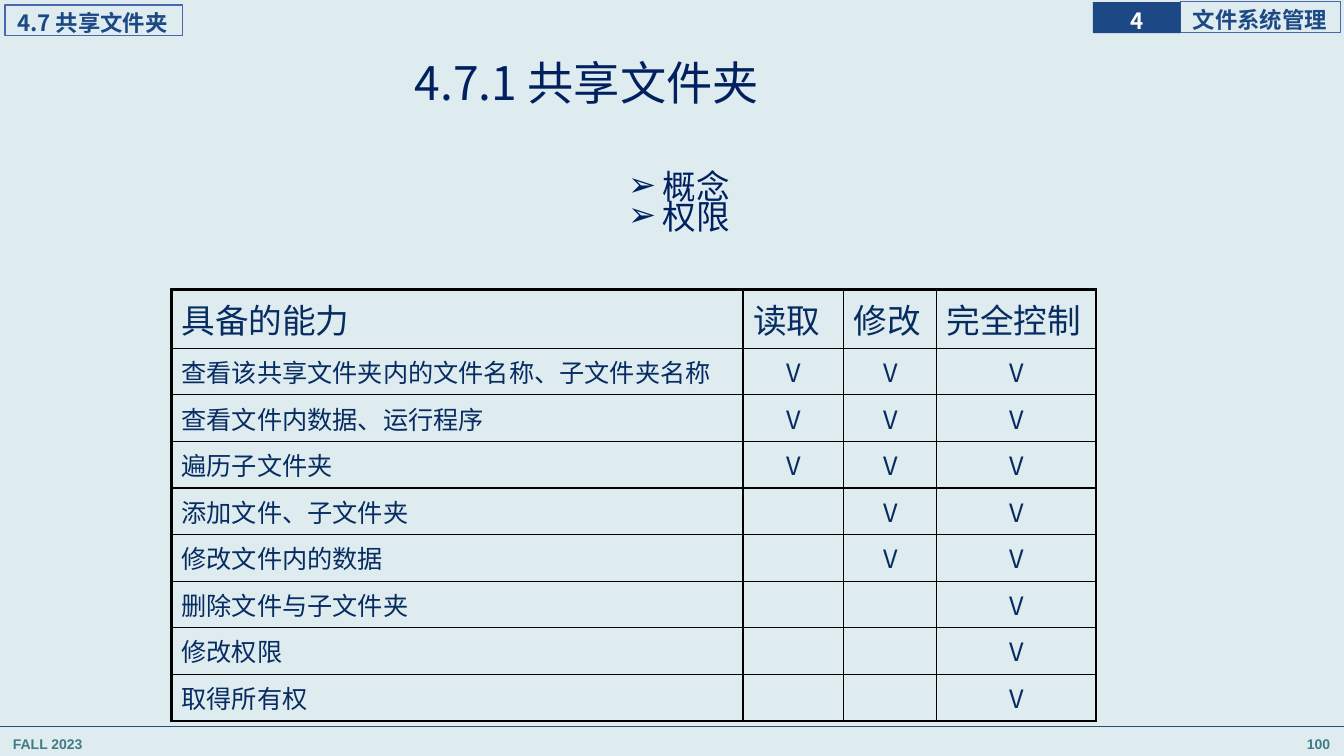
import pptx
import pptx.dml.color
import pptx.enum.shapes
import pptx.enum.text
import pptx.oxml
import pptx.oxml.ns
import pptx.util
from pptx.util import Inches, Pt

ALIGN = pptx.enum.text.PP_ALIGN
MIDDLE = pptx.enum.text.MSO_ANCHOR.MIDDLE
TOP = pptx.enum.text.MSO_ANCHOR.TOP
RECTANGLE = pptx.enum.shapes.MSO_SHAPE.RECTANGLE
CJK = "Noto Sans CJK SC"
NAVY, BLUE, BLACK = "002060", "1C4885", "000000"
THIN, THICK = 1, 2.25

ABILITIES = [
    ("查看该共享文件夹内的文件名称、子文件夹名称", "V", "V", "V"),
    ("查看文件内数据、运行程序", "V", "V", "V"),
    ("遍历子文件夹", "V", "V", "V"),
    ("添加文件、子文件夹", "", "V", "V"),
    ("修改文件内的数据", "", "V", "V"),
    ("删除文件与子文件夹", "", "", "V"),
    ("修改权限", "", "", "V"),
    ("取得所有权", "", "", "V"),
]
PERMISSIONS = [("具备的能力", "读取", "修改", "完全控制")] + ABILITIES


def rgb(value):
    return pptx.dml.color.RGBColor.from_string(value)


def xml(tag, **attributes):
    element = pptx.oxml.parse_xml(f"<{tag} {pptx.oxml.ns.nsdecls('a')}/>")
    for name, value in attributes.items():
        element.set(name, str(value))
    return element


def apply(target, **formats):
    for name, value in formats.items():
        setattr(target, name, value)


def place(shape, box):
    apply(shape, **dict(zip(("left", "top", "width", "height"), map(Inches, box))))


def write(paragraph, text, size, color, font=CJK, bold=False, **formats):
    run = paragraph.add_run()
    run.text = text
    apply(run.font, name=font, size=Pt(size), bold=bold)
    run.font.color.rgb = rgb(color)
    run.font._element.append(xml("a:ea", typeface=font))
    apply(paragraph, **formats)


def set_frame(frame, insets, anchor=MIDDLE):
    """Insets are left, top, right and bottom, in inches."""
    sides = ("margin_left", "margin_top", "margin_right", "margin_bottom")
    apply(frame, word_wrap=True, vertical_anchor=anchor,
          auto_size=pptx.enum.text.MSO_AUTO_SIZE.NONE,
          **dict(zip(sides, map(Inches, insets))))


def add_tag(slide, box, text, color=BLUE, fill=None, inset=0.12, align=ALIGN.LEFT):
    tag = slide.shapes.add_shape(RECTANGLE, *map(Inches, box))
    tag.shadow.inherit = False
    if fill:
        tag.fill.solid()
        tag.fill.fore_color.rgb = rgb(fill)
        tag.line.fill.background()
    else:
        tag.fill.background()
        tag.line.color.rgb = rgb("4A66AC")
        tag.line.width = Pt(0.75)
    set_frame(tag.text_frame, (inset, 0, 0, 0))
    write(tag.text_frame.paragraphs[0], text, 16, color, bold=True,
          alignment=align, line_spacing=1.2)


def add_chapter_header(slide, box):
    left, top, width, height = box
    number_width = 0.87
    add_tag(slide, (left + number_width, top, width - number_width, height), "文件系统管理")
    add_tag(slide, (left, top, number_width, height + 0.01), "4",
            color="FFFFFF", fill=BLUE, inset=0, align=ALIGN.CENTER)


def add_footer(slide, box):
    left, top, width, height = box
    rule = slide.shapes.add_connector(
        pptx.enum.shapes.MSO_CONNECTOR.STRAIGHT,
        *map(Inches, (left, top, left + width, top)))
    rule.line.color.rgb = rgb("234F77")
    rule.line.width = Pt(0.5)
    rule._element.spPr.append(xml("a:effectLst"))
    label_width = 2.78
    labels = [("FALL 2023", left + 0.06, ALIGN.LEFT),
              ("100", left + width - 0.04 - label_width, ALIGN.RIGHT)]
    for text, label_left, align in labels:
        label = slide.shapes.add_textbox(
            *map(Inches, (label_left, top, label_width, height)))
        set_frame(label.text_frame, (0.1, 0.05, 0.1, 0.05))
        write(label.text_frame.paragraphs[0], text, 10, "417B85", font="Arial",
              bold=True, alignment=align, line_spacing=1.2)


def fill_title(title, box):
    place(title, box)
    set_frame(title.text_frame, (0.1, 0.05, 0.1, 0.05))
    write(title.text_frame.paragraphs[0], "4.7.1 共享文件夹", 33, NAVY,
          alignment=ALIGN.CENTER, line_spacing=0.9)


def fill_topics(topics, box):
    place(topics, box)
    frame = topics.text_frame
    set_frame(frame, (4.18, 0.07, 0.08, 0.04), TOP)
    indent = Inches(0.34)
    for index, topic in enumerate(("概念", "权限")):
        paragraph = frame.add_paragraph() if index else frame.paragraphs[0]
        write(paragraph, topic, 24, NAVY, line_spacing=0.74, space_before=Pt(0))
        properties = paragraph._p.get_or_add_pPr()
        properties.set("marL", str(indent))
        properties.set("indent", str(-indent))
        properties.append(xml("a:buChar", char="➢"))


def set_borders(cell, widths):
    """Widths are left, right, top and bottom, in points."""
    properties = cell._tc.get_or_add_tcPr()
    for position, (side, width) in enumerate(zip("LRTB", widths)):
        border = xml(f"a:ln{side}", w=Pt(width))
        fill = xml("a:solidFill")
        fill.append(xml("a:srgbClr", val=BLACK))
        border.append(fill)
        properties.insert(position, border)


def add_permission_table(slide, box):
    column_widths = (5.67, 1, 0.92, 1.58)
    last_row, last_column = len(PERMISSIONS) - 1, len(column_widths) - 1
    table = slide.shapes.add_table(
        last_row + 1, last_column + 1, *map(Inches, box)).table
    apply(table, first_row=False, horz_banding=False)
    for column, width in zip(table.columns, column_widths):
        column.width = Inches(width)
    header_height = 0.58
    for index, row in enumerate(table.rows):
        row.height = Inches((box[3] - header_height) / last_row if index else header_height)
    for r, values in enumerate(PERMISSIONS):
        for c, value in enumerate(values):
            cell = table.cell(r, c)
            cell.fill.background()
            edges = (c == 0, c == last_column, r == 0, r == last_row)
            set_borders(cell, [THICK if edge else THIN for edge in edges])
            if value:
                write(cell.text_frame.paragraphs[0], value, 18 if r else 24, "072C62",
                      alignment=ALIGN.CENTER if r and c else ALIGN.LEFT)


def main():
    deck = pptx.Presentation()
    apply(deck, slide_width=Inches(13.33), slide_height=Inches(7.5))
    slide = deck.slides.add_slide(deck.slide_layouts[1])
    slide.background.fill.solid()
    slide.background.fill.fore_color.rgb = rgb("DEECEF")
    add_footer(slide, (-0.03, 7.21, 13.36, 0.31))
    add_chapter_header(slide, (10.84, 0.02, 2.46, 0.3))
    add_tag(slide, (0.05, 0.05, 1.76, 0.3), "4.7 共享文件夹")
    fill_title(slide.shapes.title, (0.07, 0.5, 11.5, 0.7))
    fill_topics(slide.placeholders[1], (2.05, 1.67, 9.23, 4.61))
    add_permission_table(slide, (1.7, 2.87, 9.17, 4.28))
    deck.save("out.pptx")


if __name__ == "__main__":
    main()
